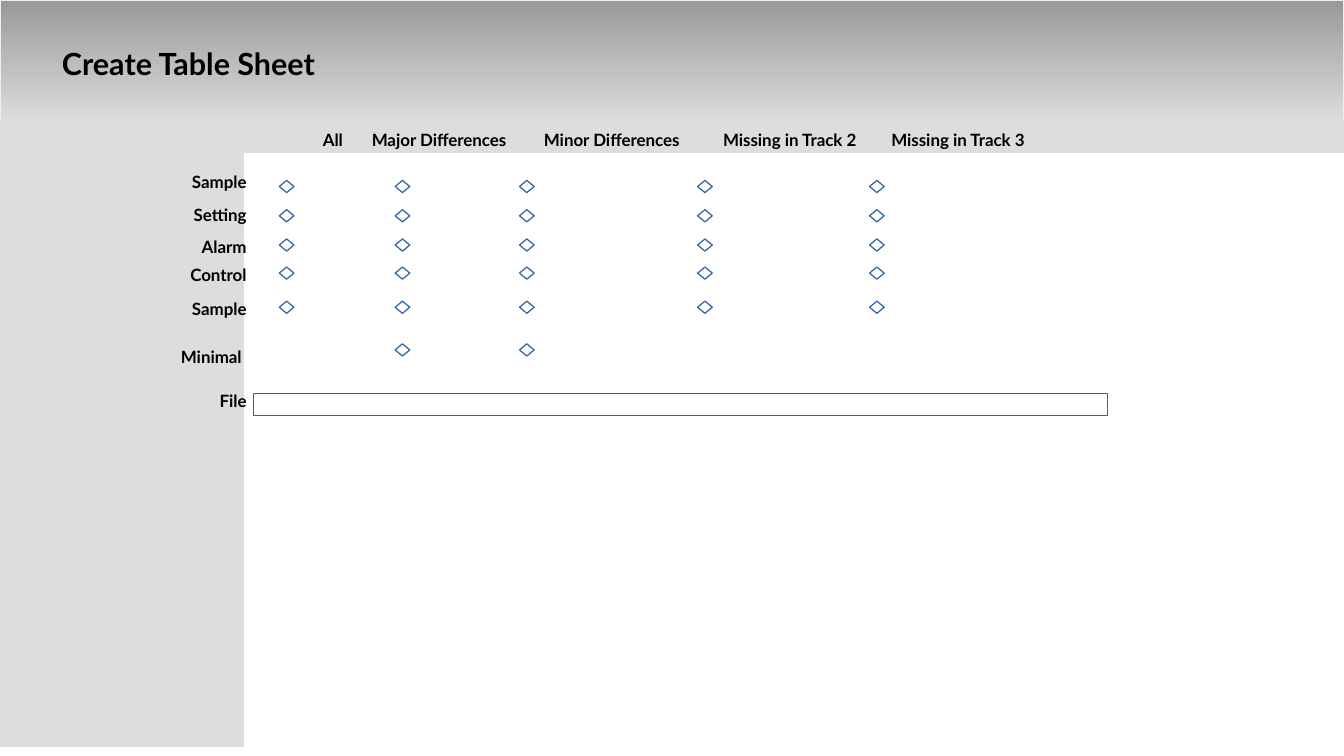
from pptx import Presentation
from pptx.dml.color import RGBColor
from pptx.enum.shapes import MSO_SHAPE as Kind
from pptx.enum.text import PP_ALIGN as Align
from pptx.util import Inches, Pt

TITLE = "Create Table Sheet"
# label, right edge, width, left edge of its diamonds
COLUMNS = [
    ("All", 2.91, 0.75, 2.29),
    ("Major Differences", 4.25, 1.54, 3.24),
    ("Minor Differences", 5.67, 1.54, 4.26),
    ("Missing in Track 2", 7.12, 1.54, 5.72),
    ("Missing in Track 3", 8.5, 1.54, 7.13),
]
# label, right edge, top, top of its diamonds, columns that have one
ROWS = [
    ("Sample", 2.12, 1.36, 1.48, range(5)),
    ("Setting", 2.12, 1.63, 1.72, range(5)),
    ("Alarm", 2.12, 1.89, 1.96, range(5)),
    ("Control", 2.12, 2.12, 2.19, range(5)),
    ("Sample", 2.12, 2.4, 2.47, range(5)),
    ("Minimal", 2.08, 2.79, 2.82, (1, 2)),
    ("File", 2.12, 3.15, None, ()),
]
WIDE, HIGH = 11.02, 6.2
SIDE, HEAD = 2, 1
GREY, BLUE, WHITE = "DDDDDD", "3465A4", "FFFFFF"

deck = Presentation()
deck.slide_width, deck.slide_height = Inches(WIDE), Inches(HIGH)
slide = deck.slides.add_slide(deck.slide_layouts[6])


def color(code):
    return RGBColor.from_string(code)


def draw(kind, x, y, w, h, fill, line):
    """Add a hairline shape; a pair of fills makes a downward gradient."""
    shape = slide.shapes.add_shape(kind, *map(Inches, (x, y, w, h)))
    shape.shadow.inherit = False
    if isinstance(fill, tuple):
        shape.fill.gradient()
        shape.fill.gradient_angle = 270
        for stop, code, place in zip(shape.fill.gradient_stops, fill, (0, 1)):
            stop.color.rgb = color(code)
            stop.position = place
    else:
        shape.fill.solid()
        shape.fill.fore_color.rgb = color(fill)
    shape.line.color.rgb = color(line)
    shape.line.width = Pt(0)


def write(text, x, y, w, h=0.28, size=10, align=Align.RIGHT):
    box = slide.shapes.add_textbox(*map(Inches, (x, y, w, h)))
    box.text_frame.word_wrap = True
    para = box.text_frame.paragraphs[0]
    para.alignment = align
    run = para.add_run()
    run.text = text
    run.font.name = "Lato"
    run.font.size = Pt(size)
    run.font.bold = True
    run.font.color.rgb = color("000000")


draw(Kind.RECTANGLE, 0, 0, WIDE, HEAD, ("999999", GREY), "EEEEEE")
write(TITLE, 0.41, 0.32, 2.5, 0.43, 18, Align.LEFT)
draw(Kind.RECTANGLE, 0, HEAD, SIDE, 5.12, GREY, GREY)
draw(Kind.RECTANGLE, SIDE, HEAD, WIDE - SIDE, 0.25, GREY, GREY)

for label, right, width, _ in COLUMNS:
    write(label, right - width, 1.01, width)

for label, right, top, mark, picks in ROWS:
    write(label, right - 0.75, top, 0.75)
    for pick in picks:
        draw(Kind.DIAMOND, COLUMNS[pick][3], mark, 0.12, 0.1, WHITE, BLUE)

draw(Kind.RECTANGLE, 2.08, 3.23, 7, 0.18, WHITE, BLUE)

deck.save("out.pptx")
